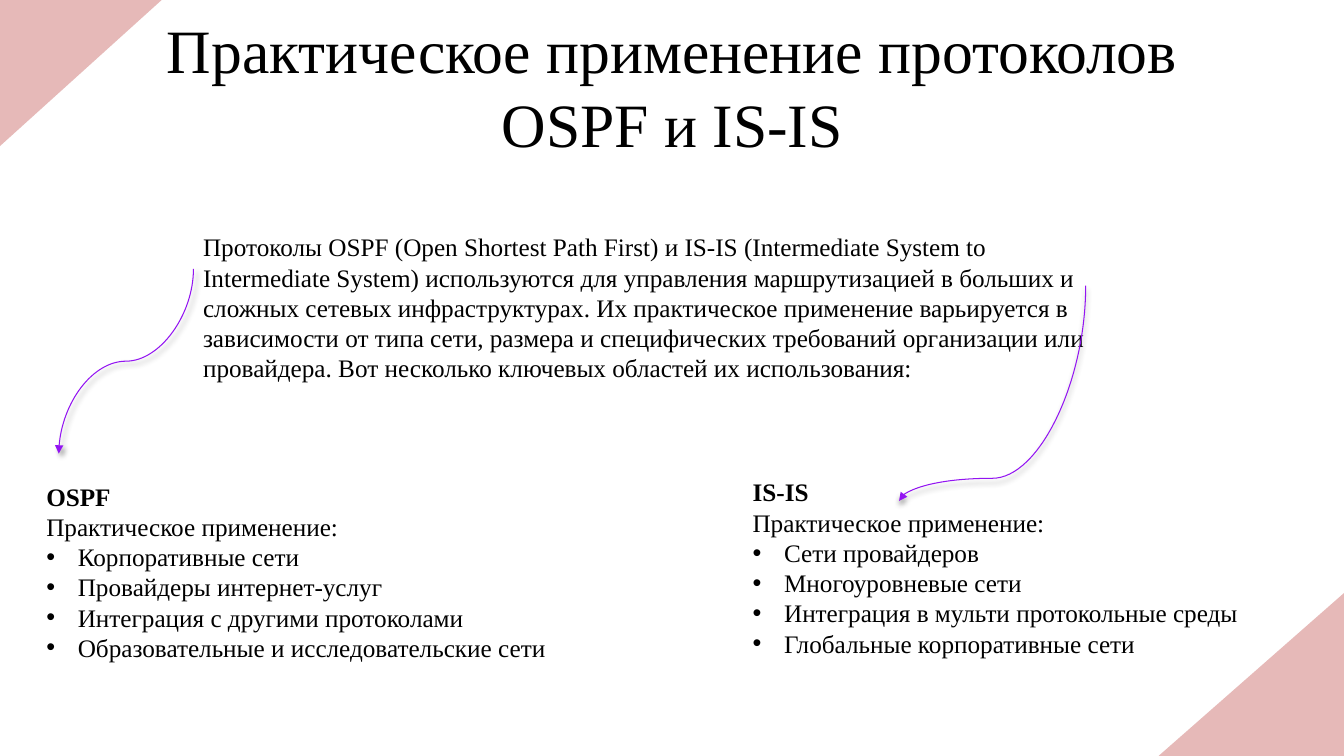
from lxml import etree
from pptx import Presentation
from pptx.dml.color import RGBColor
from pptx.enum.shapes import MSO_CONNECTOR, MSO_SHAPE
from pptx.enum.text import MSO_ANCHOR, MSO_AUTO_SIZE, PP_ALIGN
from pptx.oxml.ns import qn
from pptx.util import Pt

RECTANGLE = MSO_SHAPE.RECTANGLE
CURVE = MSO_CONNECTOR.CURVE
TOP = MSO_ANCHOR.TOP
CENTER = PP_ALIGN.CENTER
FIT_SHAPE = MSO_AUTO_SIZE.SHAPE_TO_FIT_TEXT

# Content; all lengths are in points
FONT = "Times New Roman"
COLORS = {"text": "000000", "corner": "E6B9B8", "arrow": "9314F2", "shadow": "000000"}
TITLE = "Практическое применение протоколов OSPF и IS-IS"
INTRO = (
    "Протоколы OSPF (Open Shortest Path First) и IS-IS (Intermediate System to "
    "Intermediate System) используются для управления маршрутизацией в больших и "
    "сложных сетевых инфраструктурах. Их практическое применение варьируется в "
    "зависимости от типа сети, размера и специфических требований организации или "
    "провайдера. Вот несколько ключевых областей их использования:"
)
SUBTITLE = "Практическое применение:"
PROTOCOLS = [
    {"name": "OSPF", "box": (26, 340, 486, 138), "wrap": True,
     "uses": ["Корпоративные сети", "Провайдеры интернет-услуг",
              "Интеграция с другими протоколами",
              "Образовательные и исследовательские сети"]},
    {"name": "IS-IS", "box": (530.5, 337, 368, 138), "wrap": False,
     "uses": ["Сети провайдеров", "Многоуровневые сети",
              "Интеграция в мульти протокольные среды",
              "Глобальные корпоративные сети"]},
]
# Left, top, rotation
CORNERS = [(-98.6, -27.4, 317.9), (808.6, 462.2, 318.7)]
CORNER_SIZE = (252, 90)
# Start, end, bend position (share of the height), shadow direction in degrees
ARROWS = [
    ((138.2, 192), (42, 324), 0.5, 45),
    ((775.5, 204), (642.2, 357.8), 0.895, 90),
]
BULLET_INDENT = 22.5


def color(name):
    return RGBColor.from_string(COLORS[name])


def format_paragraph(paragraph, size=18, bold=False):
    paragraph.font.name = FONT
    paragraph.font.size = Pt(size)
    paragraph.font.bold = bold
    paragraph.font.color.rgb = color("text")


def add_bullet(paragraph):
    properties = paragraph._p.get_or_add_pPr()
    properties.set("marL", str(Pt(BULLET_INDENT)))
    properties.set("indent", str(-Pt(BULLET_INDENT)))
    bullet_font = etree.Element(qn("a:buFont"), typeface="Arial")
    bullet = etree.Element(qn("a:buChar"), char="•")
    properties.insert(0, bullet_font)
    properties.insert(1, bullet)


def add_text(slide, box, lines, wrap=True):
    """Each line is (text, bold, bulleted)."""
    frame = slide.shapes.add_textbox(*map(Pt, box)).text_frame
    frame.word_wrap = wrap
    frame.auto_size = FIT_SHAPE
    for index, (text, bold, bulleted) in enumerate(lines):
        paragraph = frame.add_paragraph() if index else frame.paragraphs[0]
        paragraph.text = text
        format_paragraph(paragraph, bold=bold)
        if bulleted:
            add_bullet(paragraph)


def add_arrow(slide, start, end, bend, shadow_direction):
    # The frame is turned by 90 degrees so that the curve leaves downwards
    width, height = end[1] - start[1], start[0] - end[0]
    left = (start[0] + end[0] - width) / 2
    top = (start[1] + end[1] - height) / 2
    connector = slide.shapes.add_connector(
        CURVE, Pt(left), Pt(top), Pt(left + width), Pt(top + height))
    connector.line.color.rgb = color("arrow")
    connector.line.width = Pt(0.75)
    properties = connector._element.spPr
    properties.find(qn("a:xfrm")).set("rot", str(90 * 60000))
    adjustments = properties.find(qn("a:prstGeom")).find(qn("a:avLst"))
    etree.SubElement(adjustments, qn("a:gd"), name="adj1", fmla=f"val {round(bend * 100000)}")
    etree.SubElement(properties.find(qn("a:ln")), qn("a:tailEnd"), type="triangle")
    effects = etree.SubElement(properties, qn("a:effectLst"))
    shadow = etree.SubElement(
        effects, qn("a:outerShdw"), blurRad=str(Pt(4)), dist=str(Pt(3)),
        dir=str(shadow_direction * 60000), rotWithShape="0")
    shade = etree.SubElement(shadow, qn("a:srgbClr"), val=COLORS["shadow"])
    etree.SubElement(shade, qn("a:alpha"), val="40000")


def main():
    presentation = Presentation()
    presentation.slide_width, presentation.slide_height = Pt(960), Pt(540)
    slide = presentation.slides.add_slide(presentation.slide_layouts[5])

    # Title
    title = slide.shapes.title
    title.left, title.top, title.width, title.height = map(Pt, (72, -16, 816.5, 132))
    frame = title.text_frame
    frame.text = TITLE
    frame.word_wrap = True
    frame.auto_size = FIT_SHAPE
    frame.vertical_anchor = TOP
    frame.margin_left = frame.margin_right = frame.margin_bottom = 0
    frame.margin_top = Pt(24.5)
    heading = frame.paragraphs[0]
    heading.alignment = CENTER
    heading.space_before = Pt(1)
    format_paragraph(heading, size=44)

    # Corner bands
    for left, top, rotation in CORNERS:
        corner = slide.shapes.add_shape(RECTANGLE, Pt(left), Pt(top), *map(Pt, CORNER_SIZE))
        corner.rotation = rotation
        corner.shadow.inherit = False
        corner.fill.solid()
        corner.fill.fore_color.rgb = color("corner")
        corner.line.color.rgb = color("corner")
        corner.line.width = Pt(2)

    # Protocol lists and introduction
    for protocol in PROTOCOLS:
        lines = [(protocol["name"], True, False), (SUBTITLE, False, False)]
        lines += [(use, False, True) for use in protocol["uses"]]
        add_text(slide, protocol["box"], lines, protocol["wrap"])
    add_text(slide, (138, 162, 648, 116.5), [(INTRO, False, False)])

    # Arrows from the introduction to the lists
    for arrow in ARROWS:
        add_arrow(slide, *arrow)

    presentation.save("out.pptx")


if __name__ == "__main__":
    main()
